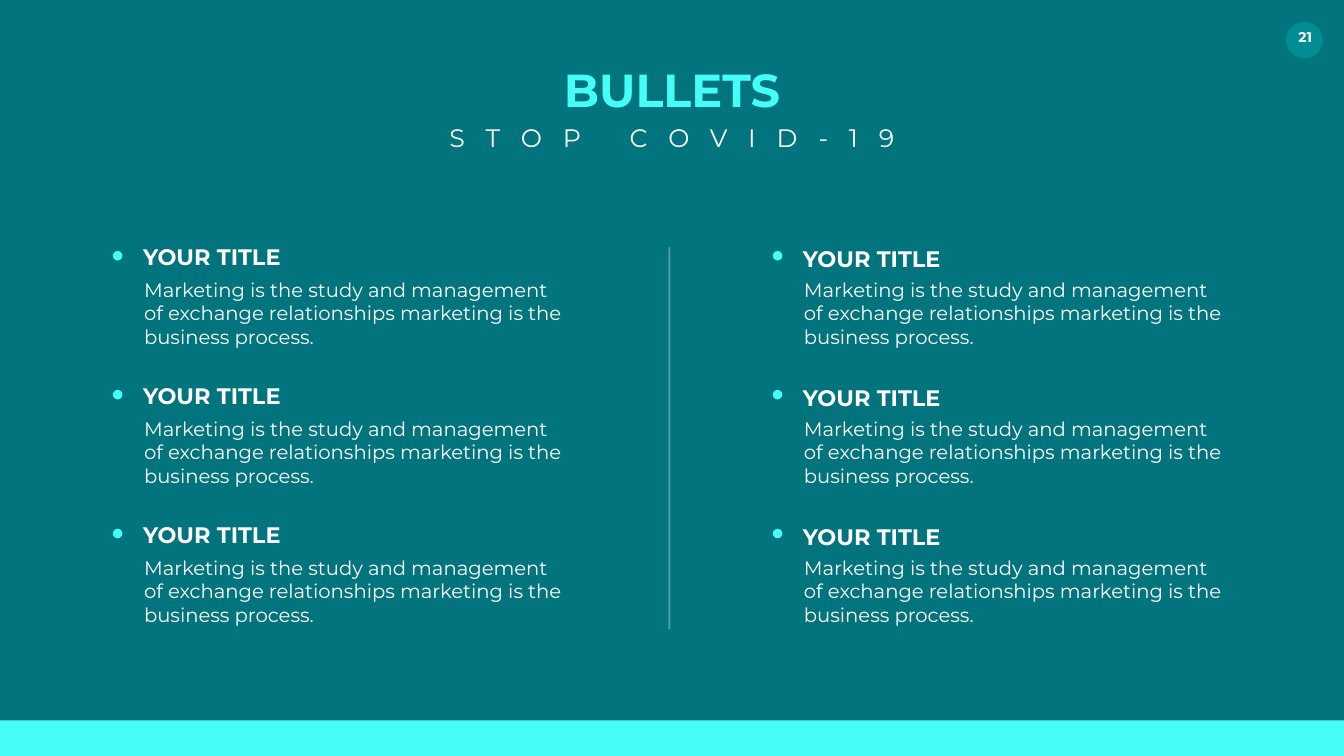
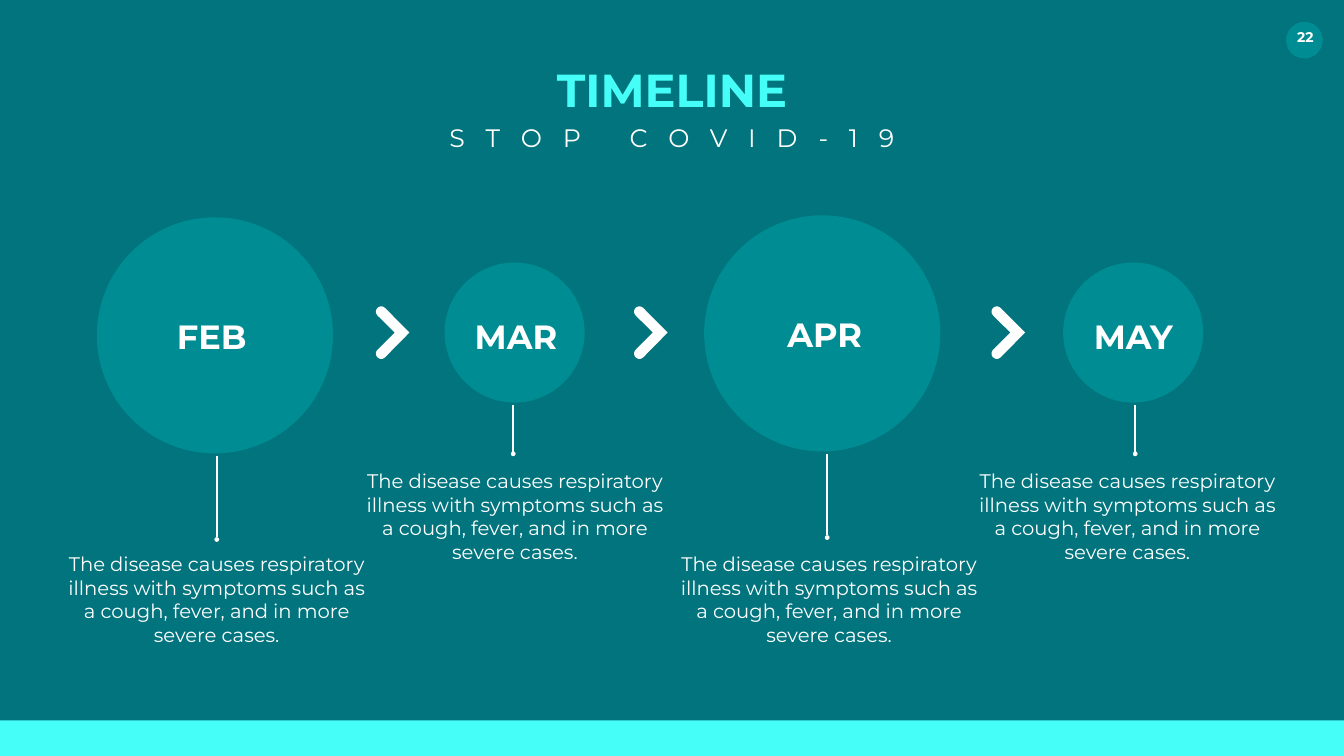
from dataclasses import dataclass
from math import cos, radians, sin

from lxml.etree import SubElement
from pptx import Presentation
from pptx.dml.color import RGBColor
from pptx.enum.shapes import MSO_CONNECTOR, MSO_SHAPE
from pptx.enum.text import MSO_ANCHOR, MSO_AUTO_SIZE, PP_ALIGN
from pptx.oxml.ns import qn
from pptx.util import Cm, Pt

FONT = "Montserrat"
TEAL, DISC, AQUA, WHITE = "01747D", "008C93", "46FEF8", "FFFFFF"
PAGE_WIDTH, PAGE_HEIGHT = 67.72, 38.1
SUBTITLE = "STOP COVID-19"
ITEM_TITLE = "YOUR TITLE"
ITEM_TEXT = (
    "Marketing is the study and management of exchange relationships "
    "marketing is the business process."
)
NOTE_TEXT = (
    "The disease causes respiratory illness with symptoms such as a cough, "
    "fever, and in more severe cases."
)


@dataclass
class Milestone:
    """One month of the timeline, with lengths in centimetres."""

    month: str
    left: float
    top: float
    size: float
    label_left: float
    label_width: float
    stem_x: float
    stem_length: float
    note_left: float
    note_top: float


MILESTONES = [
    Milestone("FEB", 4.88, 10.95, 11.9, 8.56, 4.22, 10.92, 4.22, 2.9, 27.71),
    Milestone("MAR", 22.4, 13.23, 7.06, 23.14, 5.72, 25.86, 2.46, 17.93, 23.52),
    Milestone("APR", 35.48, 10.85, 11.9, 38.61, 5.89, 41.68, 4.22, 33.76, 27.71),
    Milestone("MAY", 53.57, 13.23, 7.06, 54.25, 5.72, 57.2, 2.46, 48.79, 23.52),
]
CHEVRON_LEFTS = [18.92, 31.93, 49.94]


def color(value):
    """Turn a hex string into a colour."""
    return RGBColor.from_string(value)


def paint(shape, fill):
    """Give a shape a plain fill without line or shadow."""
    shape.shadow.inherit = False
    shape.fill.solid()
    shape.fill.fore_color.rgb = color(fill)
    shape.line.fill.background()
    return shape


def add_preset(page, kind, left, top, width, height, fill):
    """Add a filled preset shape."""
    shape = page.shapes.add_shape(kind, Cm(left), Cm(top), Cm(width), Cm(height))
    return paint(shape, fill)


def write(box, text, size, bold=False, fill=WHITE, align=PP_ALIGN.LEFT, wrap=True):
    """Fill a text box or placeholder with one formatted paragraph."""
    frame = box.text_frame
    frame.auto_size = MSO_AUTO_SIZE.NONE
    frame.word_wrap = wrap
    frame.vertical_anchor = MSO_ANCHOR.TOP
    frame.text = text
    para = frame.paragraphs[0]
    para.alignment = align
    para.font.name = FONT
    para.font.size = Pt(size)
    para.font.bold = bold
    para.font.color.rgb = color(fill)
    return para


def add_text(page, left, top, width, height, text, size, **style):
    """Add a text box with one paragraph."""
    box = page.shapes.add_textbox(Cm(left), Cm(top), Cm(width), Cm(height))
    return write(box, text, size, **style)


def add_line(page, x, top, bottom, width, opacity=None, tail=None):
    """Add a white vertical line."""
    line = page.shapes.add_connector(
        MSO_CONNECTOR.STRAIGHT, Cm(x), Cm(top), Cm(x), Cm(bottom)
    )
    line.line.color.rgb = color(WHITE)
    line.line.width = Pt(width)
    properties = line.element.spPr
    outline = properties.find(qn("a:ln"))
    if opacity:
        tint = outline.find(".//" + qn("a:srgbClr"))
        SubElement(tint, qn("a:alpha"), val=str(opacity * 1000))
    if tail:
        SubElement(outline, qn("a:tailEnd"), type=tail)
    SubElement(properties, qn("a:effectLst"))


def add_page(deck, number, title, title_width):
    """Add a slide with its number, title and subtitle."""
    page = deck.slides.add_slide(deck.slide_layouts[5])
    add_text(page, 64.55, 1.32, 2.44, 1.37, str(number), 20,
             bold=True, align=PP_ALIGN.CENTER, wrap=False)
    heading = page.shapes.title
    heading.left, heading.top = Cm((PAGE_WIDTH - title_width) / 2), Cm(2.97)
    heading.width, heading.height = Cm(title_width), Cm(3.07)
    write(heading, title, 66, bold=True, fill=AQUA, align=PP_ALIGN.CENTER, wrap=False)
    width = 24.26
    para = add_text(page, (PAGE_WIDTH - width) / 2, 6.02, width, 1.8, SUBTITLE, 36,
                    align=PP_ALIGN.CENTER, wrap=False)
    para.runs[0].font.bold = False
    para.runs[0].font._element.set("spc", "3000")
    return page


def dress_layout(deck):
    """Put the background, the bottom band and the number disc behind all slides."""
    background = deck.slide_master.background.fill
    background.solid()
    background.fore_color.rgb = color(TEAL)
    layout = deck.slide_layouts[5]
    page = deck.slides[0]
    band = add_preset(page, MSO_SHAPE.RECTANGLE, 0, 36.3, PAGE_WIDTH, 1.8, AQUA)
    disc = add_preset(page, MSO_SHAPE.OVAL, 64.8, 1.1, 1.85, 1.85, DISC)
    for shape in (band, disc):
        layout.shapes.element.append(shape.element)


def add_item(page, left, top, title_drop):
    """Add a dot with a bold title and a text below it."""
    add_preset(page, MSO_SHAPE.OVAL, left, top + 0.53, 0.48, 0.48, AQUA)
    add_text(page, left + 1.27, top + title_drop, 9.98, 1.63, ITEM_TITLE, 32, bold=True)
    add_text(page, left + 1.32, top + 1.75, 21.77, 3.84, ITEM_TEXT, 28)


def fill_bullets(page):
    """Place two columns of three items with a divider between them."""
    for left, title_drop in ((5.69, 0), (38.94, 0.1)):
        for row in range(3):
            add_item(page, left, 12.12 + 7 * row, title_drop)
    add_line(page, 33.73, 12.47, 31.72, 3, opacity=30)


def round_end(center_x, center_y, start):
    """Return points of a half circle, in hundredths of a centimetre."""
    angles = [radians(start - step) for step in range(0, 181, 15)]
    return [(center_x + 27 * cos(angle), center_y + 27 * sin(angle)) for angle in angles]


def add_chevron(page, left, top):
    """Add an arrow to the right with round ends."""
    points = [*round_end(29, 29, 315), (97, 134.5),
              *round_end(29, 240, 225), (171, 134.5)]
    builder = page.shapes.build_freeform(*points[0], scale=Cm(0.01))
    builder.add_line_segments(points[1:], close=True)
    paint(builder.convert_to_shape(Cm(left), Cm(top)), WHITE)


def add_milestone(page, item):
    """Add a month disc with its stem and note."""
    add_preset(page, MSO_SHAPE.OVAL, item.left, item.top, item.size, item.size, DISC)
    stem_top = item.top + item.size + 0.12
    add_line(page, item.stem_x, stem_top, stem_top + item.stem_length, 2.25, tail="oval")
    label_top = 15.7 if item.month == "APR" else 15.8
    add_text(page, item.label_left, label_top, item.label_width, 2.31, item.month, 48,
             bold=True, align=PP_ALIGN.CENTER)
    add_text(page, item.note_left, item.note_top, 16.03, 5.05, NOTE_TEXT, 28,
             align=PP_ALIGN.CENTER)


def fill_timeline(page):
    """Place the months and the arrows between them."""
    for left in CHEVRON_LEFTS:
        add_chevron(page, left, 15.42)
    for item in MILESTONES:
        add_milestone(page, item)


def main():
    """Build and save the deck."""
    deck = Presentation()
    deck.slide_width, deck.slide_height = Cm(PAGE_WIDTH), Cm(PAGE_HEIGHT)
    fill_bullets(add_page(deck, 21, "BULLETS", 11.53))
    fill_timeline(add_page(deck, 22, "TIMELINE", 12.22))
    dress_layout(deck)
    deck.save("out.pptx")


if __name__ == "__main__":
    main()
